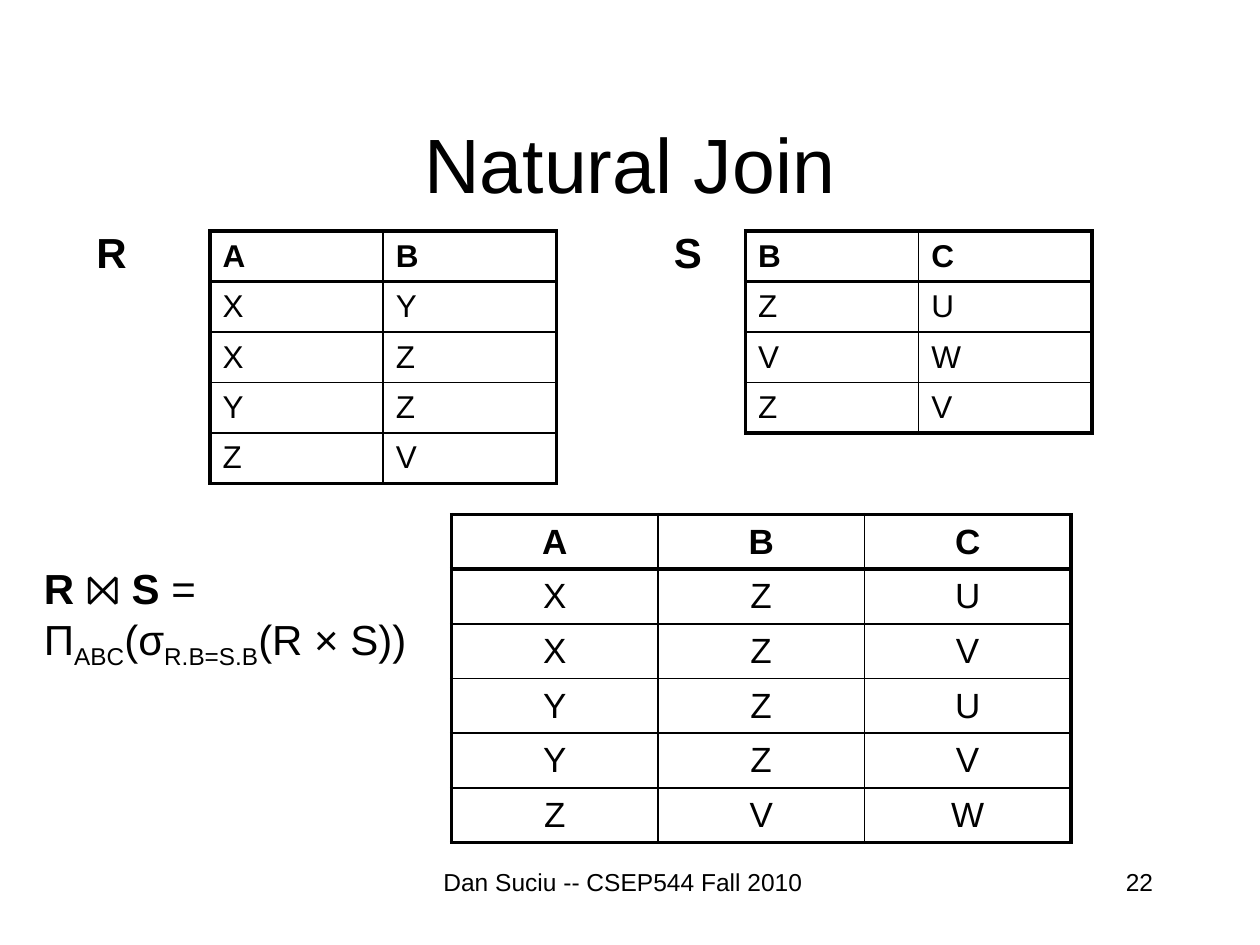
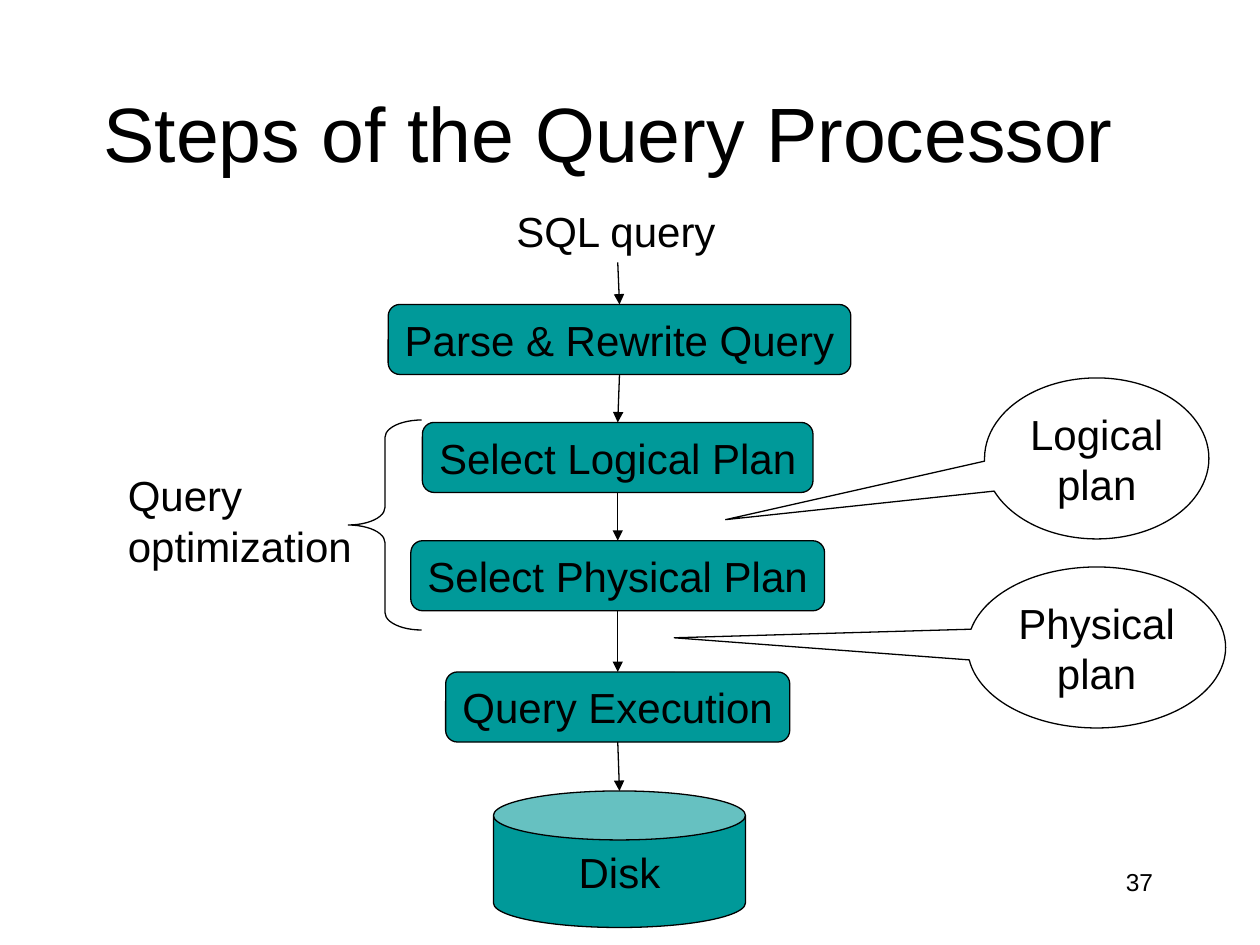
"""Build two database slides: a natural join and the query processor steps."""
from lxml import etree
from pptx import Presentation
from pptx.dml.color import RGBColor
from pptx.enum import shapes, text
from pptx.oxml import ns
from pptx.util import Pt

COLORS = {"ink": "000000", "step": "009999"}
FONT = "Arial"
LEFT, CENTER, RIGHT = text.PP_ALIGN.LEFT, text.PP_ALIGN.CENTER, text.PP_ALIGN.RIGHT
SHAPE = shapes.MSO_SHAPE
THICK, THIN = 2.25, 1


def color(name):
    """Return a palette colour."""
    return RGBColor.from_string(COLORS[name])


def points(*lengths):
    """Turn numbers into point lengths."""
    return [Pt(length) for length in lengths]


def format_text(frame, size, align=LEFT, bold=False):
    """Give every paragraph and run of a frame the deck's type style."""
    for paragraph in frame.paragraphs:
        paragraph.alignment = align
        for run in paragraph.runs:
            run.font.name = FONT
            run.font.size = Pt(size)
            run.font.bold = bold
            run.font.color.rgb = color("ink")


def add_label(slide, box, words, size=24, align=LEFT, bold=False, wrap=False):
    """Add a text box and return it."""
    label = slide.shapes.add_textbox(*points(*box))
    label.text_frame.word_wrap = wrap
    label.text_frame.text = words
    format_text(label.text_frame, size, align, bold)
    return label


def add_titled_slide(deck, title, title_box, number, footer=None):
    """Add a title-only slide with its title, number and optional footer."""
    slide = deck.slides.add_slide(deck.slide_layouts[5])
    heading = slide.shapes.title
    heading.left, heading.top, heading.width, heading.height = points(*title_box)
    heading.text_frame.text = title
    heading.text_frame.auto_size = text.MSO_AUTO_SIZE.NONE
    heading.text_frame.vertical_anchor = text.MSO_ANCHOR.MIDDLE
    format_text(heading.text_frame, 44, CENTER)
    if footer:
        add_label(slide, (242, 492, 228, 36), footer, 14, CENTER, wrap=True)
    add_label(slide, (516, 492, 150, 36), number, 14, RIGHT, wrap=True)
    return slide


def set_borders(cell, widths):
    """Draw the left, right, top and bottom borders of a cell."""
    properties = cell._tc.get_or_add_tcPr()
    for index, (side, width) in enumerate(zip("LRTB", widths)):
        border = etree.Element(ns.qn(f"a:ln{side}"), w=str(Pt(width)))
        fill = etree.SubElement(border, ns.qn("a:solidFill"))
        etree.SubElement(fill, ns.qn("a:srgbClr"), val=COLORS["ink"])
        properties.insert(index, border)


def add_relation(slide, box, rows, size, align=LEFT, tall_row=None):
    """Add a relation as a table with a heavy frame and header rule."""
    left, top, width, row_height = box
    last_row, last_column = len(rows) - 1, len(rows[0]) - 1
    relation = slide.shapes.add_table(
        len(rows), len(rows[0]), *points(left, top, width, row_height * len(rows))).table
    relation.first_row = relation.horz_banding = False
    for r, values in enumerate(rows):
        relation.rows[r].height = Pt(row_height + (1.4 if r == tall_row else 0))
        for c, value in enumerate(values):
            cell = relation.cell(r, c)
            cell.text_frame.text = value
            cell.vertical_anchor = text.MSO_ANCHOR.MIDDLE
            format_text(cell.text_frame, size, align, bold=r == 0)
            cell.fill.background()
            heavy = (c == 0, c == last_column, r < 2, r in (0, last_row))
            set_borders(cell, [THICK if side else THIN for side in heavy])


def add_join_formula(slide, box):
    """Add the definition of the join with its subscripts."""
    formula = add_label(slide, box, "").text_frame
    lines = [
        [("R ", "bold"), ("⨝ ", ""), ("S ", "bold"), ("=", "")],
        [("Π", ""), ("ABC", "sub"), ("(σ", ""), ("R.B=S.B", "sub"), ("(R × S))", "")],
    ]
    formula.text = "\n".join("" for _ in lines)
    for paragraph, pieces in zip(formula.paragraphs, lines):
        for words, _ in pieces:
            paragraph.add_run().text = words
    format_text(formula, 24)
    for paragraph, pieces in zip(formula.paragraphs, lines):
        for run, (_, kind) in zip(paragraph.runs, pieces):
            run.font.bold = kind == "bold"
            if kind == "sub":
                run._r.get_or_add_rPr().set("baseline", "-25000")


def add_outline(slide, kind, box, adjustments, words="", fill=None, wrap=False):
    """Add a thinly outlined preset shape and return it."""
    outline = slide.shapes.add_shape(kind, *points(*box))
    outline.shadow.inherit = False
    for index, value in enumerate(adjustments):
        outline.adjustments[index] = value
    if fill:
        outline.fill.solid()
        outline.fill.fore_color.rgb = color(fill)
    else:
        outline.fill.background()
    outline.line.color.rgb = color("ink")
    outline.line.width = Pt(0.75)
    if words:
        outline.text_frame.word_wrap = wrap
        outline.text_frame.vertical_anchor = text.MSO_ANCHOR.MIDDLE
        outline.text_frame.text = words
        format_text(outline.text_frame, 24, CENTER)
    return outline


def add_arrow(slide, source, target, join_target=True):
    """Point an arrow from the bottom of one part to the top of the next."""
    arrow = slide.shapes.add_connector(
        shapes.MSO_CONNECTOR.STRAIGHT,
        source.left + source.width // 2, source.top + source.height,
        target.left + target.width // 2, target.top)
    arrow.begin_connect(source, 2)
    if join_target:
        arrow.end_connect(target, 0)
    arrow.line.color.rgb = color("ink")
    arrow.line.width = Pt(0.75)
    etree.SubElement(arrow.line._get_or_add_ln(), ns.qn("a:tailEnd"), type="triangle")
    etree.SubElement(arrow._element.spPr, ns.qn("a:effectLst"))


def add_processing_chain(slide, box):
    """Stack the steps from the SQL query down to the disk."""
    left, top, width, height = box
    middle = left + width / 2
    stages = [add_label(slide, (middle - 66, top, 130, 36), "SQL query")]
    steps = [
        ("Parse & Rewrite Query", 0, 60, 264.4),
        ("Select Logical Plan", -1, 127.4, 223.2),
        ("Select Physical Plan", -1, 195, 236.4),
        ("Query Execution", -1, 270, 196.6),
    ]
    for name, shift, drop, span in steps:
        step_box = (middle + shift - span / 2, top + drop, span, 40)
        stages.append(add_outline(
            slide, SHAPE.ROUNDED_RECTANGLE, step_box, [0.167], name, "step"))
    disk = add_outline(slide, SHAPE.CAN, (middle - 72, top + height - 78, 144, 78),
                       [0.359], "Disk", "step", wrap=True)
    for source, target in zip(stages, stages[1:]):
        add_arrow(slide, source, target)
    add_arrow(slide, stages[-1], disk, join_target=False)


def add_optimization_group(slide, box):
    """Brace the two planning steps and name them."""
    left, top, width, height = box
    add_outline(slide, SHAPE.LEFT_BRACE, (left + width - 42, top, 42, height), [0.238, 0.5])
    add_label(slide, (left, top + 25, 144, 65.5), "Query\voptimization")


def add_plan_callouts(slide, box):
    """Add the balloons that name what passes between the steps."""
    left, top, width, height = box
    plans = [("Logical\vplan", 128.2, 0, (-1.654, 0.38)),
             ("Physical\vplan", 147.4, height - 92, (-1.638, -0.06))]
    for name, span, drop, pointer in plans:
        balloon = (left + (width - span) / 2, top + drop, span, 92)
        add_outline(slide, SHAPE.OVAL_CALLOUT, balloon, pointer, name)


def build_natural_join(deck):
    """Build the slide with two relations and their join."""
    slide = add_titled_slide(deck, "Natural Join", (54, 48, 612, 90), "22",
                             "Dan Suciu -- CSEP544 Fall 2010")
    add_relation(slide, (120, 132, 198, 27.4), ["AB", "XY", "XZ", "YZ", "ZV"], 18, tall_row=3)
    add_relation(slide, (426, 132, 198, 27.4), ["BC", "ZU", "VW", "ZV"], 18)
    add_relation(slide, (258, 294, 354, 29.6),
                 ["ABC", "XZU", "XZV", "YZU", "YZV", "ZVW"], 20, CENTER, tall_row=4)
    for name, left in (("R", 48), ("S", 378)):
        add_label(slide, (left, 126, 31, 36), name, bold=True)
    add_join_formula(slide, (18, 318, 237, 65.5))


def build_query_processor(deck):
    """Build the slide with the steps of the query processor."""
    slide = add_titled_slide(deck, "Steps of the Query Processor", (30, 30, 636, 90), "37")
    add_processing_chain(slide, (222, 114, 264, 416))
    add_optimization_group(slide, (66, 240, 175, 120))
    add_plan_callouts(slide, (553, 216, 147.4, 200))


def main():
    """Build and save the deck."""
    deck = Presentation()
    deck.slide_width, deck.slide_height = points(720, 540)
    build_natural_join(deck)
    build_query_processor(deck)
    deck.save("out.pptx")


if __name__ == "__main__":
    main()
